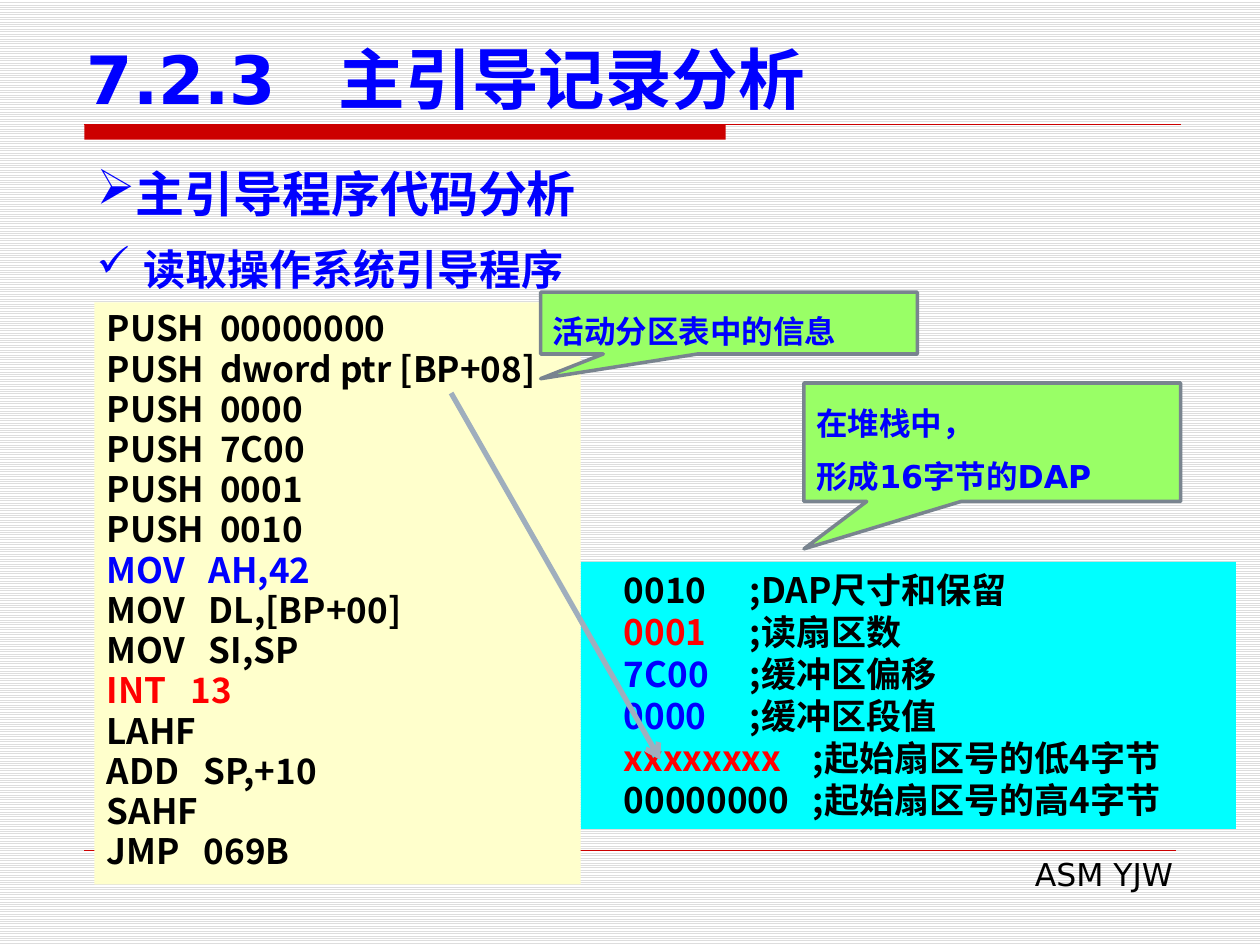
from pptx import Presentation
from pptx.dml.color import RGBColor
from pptx.enum.dml import MSO_PATTERN
from pptx.enum.shapes import MSO_CONNECTOR, MSO_SHAPE
from pptx.enum.text import MSO_ANCHOR, MSO_AUTO_SIZE, PP_ALIGN
from pptx.oxml.ns import qn
from pptx.util import Pt
from lxml import etree

RECT = MSO_SHAPE.RECTANGLE
CALLOUT = MSO_SHAPE.RECTANGULAR_CALLOUT
LINE = MSO_CONNECTOR.STRAIGHT
LEFT, RIGHT = PP_ALIGN.LEFT, PP_ALIGN.RIGHT
TOP, MID, LOW = MSO_ANCHOR.TOP, MSO_ANCHOR.MIDDLE, MSO_ANCHOR.BOTTOM
SANS, CJK = "DejaVu Sans", "Noto Sans CJK SC"
HUES = {
    "black": "000000", "blue": "0000FF", "red": "FF0000", "rule": "CC0000",
    "cream": "FFFFCC", "cyan": "00FFFF", "green": "99FF66",
    "edge": "79848F", "arrow": "9FAEBD", "stripe": "DDDDDD", "white": "FFFFFF",
}
HUES = {name: RGBColor.from_string(code) for name, code in HUES.items()}


def write(shape, rows, size, face, bold=True, lead=None, anchor=TOP,
          align=LEFT, bullet=None, indent=0, hang=0, tab=None):
    frame = shape.text_frame
    frame.word_wrap = True
    frame.auto_size = MSO_AUTO_SIZE.NONE
    frame.vertical_anchor = anchor
    for i, row in enumerate(rows):
        para = frame.add_paragraph() if i else frame.paragraphs[0]
        para.alignment = align
        para.space_before = Pt(0)
        if lead:
            para.line_spacing = Pt(lead)
        props = para._p.get_or_add_pPr()
        props.set("marL", str(Pt(indent)))
        props.set("indent", str(Pt(-hang)))
        if bullet:
            etree.SubElement(props, qn("a:buChar")).set("char", bullet)
        if tab:
            tabs = etree.SubElement(props, qn("a:tabLst"))
            stop = etree.SubElement(tabs, qn("a:tab"))
            stop.set("pos", str(Pt(tab[i])))
            stop.set("algn", "l")
        for words, hue in row:
            run = para.add_run()
            run.text = words
            font = run.font
            font.size, font.bold, font.name = Pt(size), bold, face
            font.color.rgb = HUES[hue]
            east = etree.SubElement(run._r.get_or_add_rPr(), qn("a:ea"))
            east.set("typeface", CJK)


def draw(kind, box, fill, edge=None):
    shape = slide.shapes.add_shape(kind, *map(Pt, box))
    shape.shadow.inherit = False
    shape.fill.solid()
    shape.fill.fore_color.rgb = HUES[fill]
    if edge:
        shape.line.color.rgb = HUES[edge]
        shape.line.width = Pt(2)
    else:
        shape.line.fill.background()
    return shape


deck = Presentation()
deck.slide_width, deck.slide_height = Pt(720), Pt(540)
slide = deck.slides.add_slide(deck.slide_layouts[5])
back = slide.background.fill
back.patterned()
back.pattern = MSO_PATTERN.LIGHT_HORIZONTAL
back.fore_color.rgb = HUES["stripe"]
back.back_color.rgb = HUES["white"]

title = slide.shapes.title
title.left, title.top, title.width, title.height = map(Pt, (42.5, 20, 652, 51))
write(title, [[("7.2.3\t主引导记录分析", "blue")]], 38, SANS, anchor=LOW, tab=[144.5])

draw(RECT, (48.2, 71.3, 366.5, 8.6), "rule")

lines = []
for ends, hue, width in [
    ((48.2, 71.3, 674.6, 71.3), "rule", 0.75),
    ((48.2, 486, 671.8, 486), "rule", 0.25),
    ((257.8, 224.6, 377.3, 434.2), "arrow", 3),
]:
    line = slide.shapes.add_connector(LINE, *map(Pt, ends))
    line.line.color.rgb = HUES[hue]
    line.line.width = Pt(width)
    lines.append(line)
arrow = lines[-1]
etree.SubElement(arrow.line._get_or_add_ln(), qn("a:tailEnd")).set("type", "arrow")
for line in lines:
    etree.SubElement(line._element.spPr, qn("a:effectLst"))

for box, words, hue, size, face, style in [
    ((275, 485.3, 402.5, 28.8), "ASM YJW", "black", 18, SANS,
     dict(bold=False, align=RIGHT)),
    ((48.2, 88.6, 623.5, 41), "主引导程序代码分析", "blue", 28, SANS,
     dict(lead=35, bullet="➢")),
    ((48.2, 128.2, 623.5, 38.9), "读取操作系统引导程序", "blue", 24, CJK,
     dict(lead=36, bullet="✓", indent=27, hang=27)),
]:
    label = slide.shapes.add_textbox(*map(Pt, box))
    write(label, [[(words, hue)]], size, face, **style)

code = [
    "PUSH  00000000", "PUSH  dword ptr [BP+08]", "PUSH  0000", "PUSH  7C00",
    "PUSH  0001", "PUSH  0010", "MOV   AH,42", "MOV   DL,[BP+00]",
    "MOV   SI,SP", "INT   13", "LAHF", "ADD   SP,+10", "SAHF", "JMP   069B",
]
marks = {"MOV   AH,42": "blue", "INT   13": "red"}
panel = draw(RECT, (54, 172.8, 277.9, 332.6), "cream")
write(panel, [[(step, marks.get(step, "black"))] for step in code], 20, CJK, lead=23)

stack = [
    ("0010", "black", "DAP尺寸和保留", 96),
    ("0001", "red", "读扇区数", 96),
    ("7C00", "blue", "缓冲区偏移", 97),
    ("0000", "blue", "缓冲区段值", 96),
    ("xxxxxxxx", "red", "起始扇区号的低4字节", 121),
    ("00000000", "black", "起始扇区号的高4字节", 125),
]
panel = draw(RECT, (331.9, 321.1, 374.4, 152.6), "cyan")
write(panel, [[(value, hue), ("\t;" + note, "black")] for value, hue, note, _ in stack],
      20, CJK, lead=24, indent=17.5, tab=[row[3] for row in stack])

slide.shapes._spTree.append(arrow._element)

for box, rows in [
    ((459.4, 218.9, 215.3, 67.7), ["在堆栈中，", "形成16字节的DAP"]),
    ((308.9, 167, 215.3, 35.3), ["活动分区表中的信息"]),
]:
    bubble = draw(CALLOUT, box, "green", "edge")
    bubble.adjustments[0], bubble.adjustments[1] = -0.5, 0.9
    write(bubble, [[(row, "blue")] for row in rows], 18, SANS, lead=30, anchor=MID)

deck.save("out.pptx")
